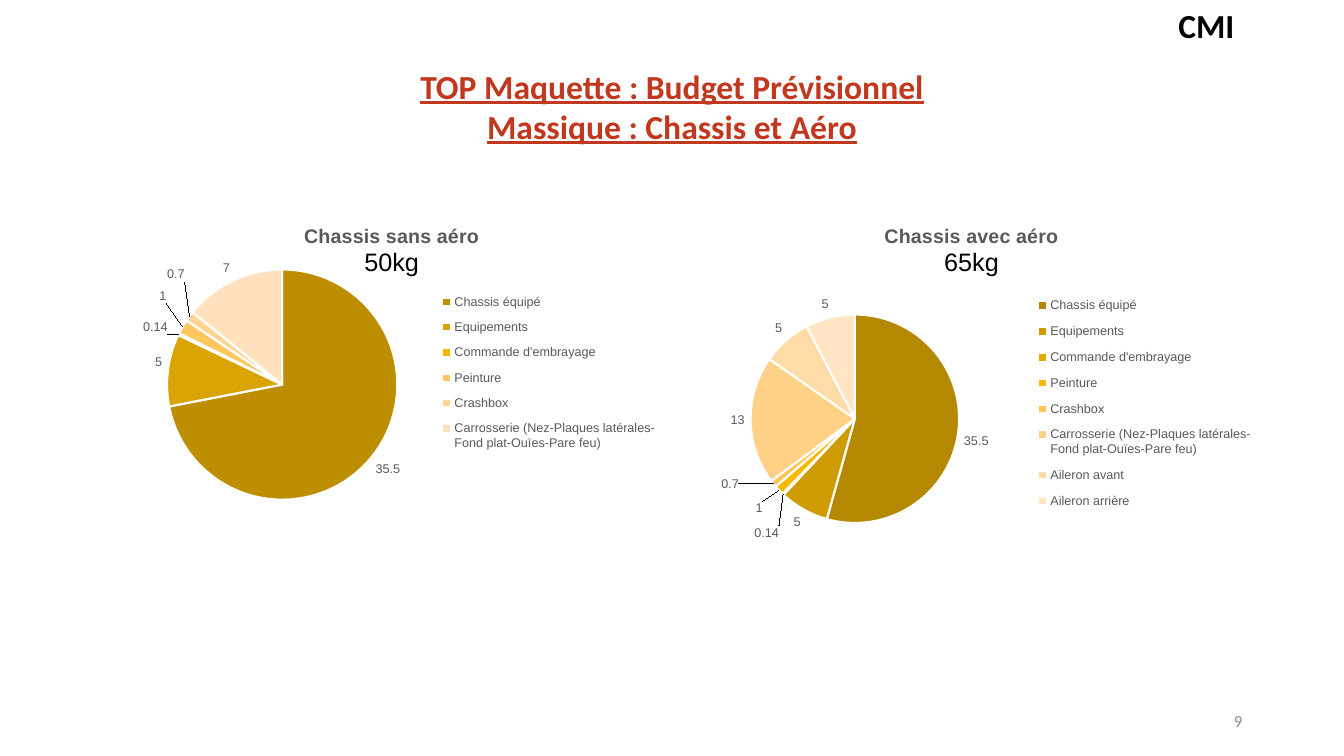
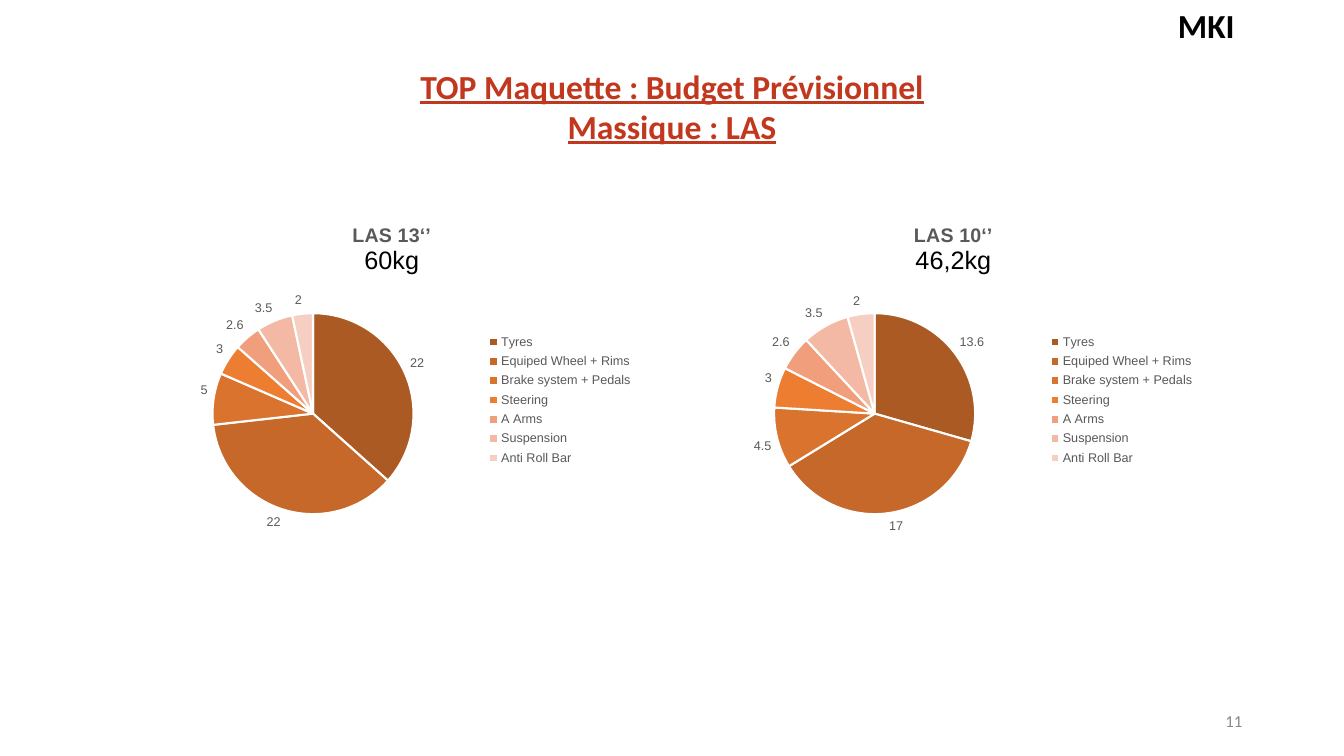
from lxml import etree
from pptx import Presentation
from pptx.chart.data import CategoryChartData
from pptx.dml.color import RGBColor
from pptx.enum.chart import XL_CHART_TYPE, XL_LABEL_POSITION, XL_LEGEND_POSITION
from pptx.enum.text import MSO_ANCHOR, MSO_AUTO_SIZE, PP_ALIGN
from pptx.oxml.ns import qn
from pptx.util import Inches, Pt

PIE = XL_CHART_TYPE.PIE
OUTSIDE = XL_LABEL_POSITION.OUTSIDE_END
RIGHT_SIDE = XL_LEGEND_POSITION.RIGHT
TOP, MIDDLE = MSO_ANCHOR.TOP, MSO_ANCHOR.MIDDLE
CENTER, RIGHT = PP_ALIGN.CENTER, PP_ALIGN.RIGHT

TITLE = {"name": "Calibri", "size": Pt(24), "bold": True, "underline": True, "color": "C2381E"}
TAG = {"name": "Calibri", "size": Pt(24), "bold": True, "color": "000000"}
NUMBER = {"name": "Calibri", "size": Pt(12), "color": "888888"}
CHART_TEXT = {"name": "Arial", "size": Pt(10), "color": "000000"}
CHART_TITLE = {"name": "Arial", "size": Pt(14), "bold": True, "color": "595959"}
CHART_TOTAL = {"name": "Arial", "size": Pt(18), "bold": False, "color": "000000"}
SMALL = {"name": "Arial", "size": Pt(9), "bold": False, "color": "595959"}

BODYWORK = "Carrosserie (Nez-Plaques latérales-Fond plat-Ouïes-Pare feu)"
CHASSIS = ["Chassis équipé", "Equipements", "Commande d'embrayage", "Peinture", "Crashbox", BODYWORK]
LAS = ["Tyres", "Equiped Wheel + Rims", "Brake system + Pedals", "Steering",
       "A Arms", "Suspension", "Anti Roll Bar"]
GOLDS_6 = ["BD8E00", "DAA400", "F4B700", "FFC75E", "FFD597", "FFE2BD"]
GOLDS_8 = ["B48800", "CE9B00", "E2AA00", "F6B900", "FFC550", "FFD187", "FFDBA7", "FFE5C3"]
ORANGES = ["AB5A23", "C56829", "D9732D", "ED7D31", "F09E7B", "F3B9A4", "F7CEC2"]
LAS_LEGEND = (0.66, 0.36, 0.28, 0.41)

slides = [
    {"tag": "CMI", "number": "9", "subject": "Massique : Chassis et Aéro", "top": 2.07, "height": 3.39,
     "charts": [
         {"left": 1.1, "width": 5.57, "title": "Chassis sans aéro", "total": "50kg",
          "names": CHASSIS, "values": [35.5, 5, 0.14, 1, 0.7, 7], "colors": GOLDS_6,
          "plot": (0.1, 0.13, 0.41, 0.77), "legend": (0.58, 0.22, 0.4, 0.52),
          "shifts": {2: (-0.01, 0.01), 3: (-0.02, -0.06), 4: (0, -0.09)}},
         {"left": 6.67, "width": 5.93, "title": "Chassis avec aéro", "total": "65kg",
          "names": CHASSIS + ["Aileron avant", "Aileron arrière"],
          "values": [35.5, 5, 0.14, 1, 0.7, 13, 5, 5], "colors": GOLDS_8,
          "plot": (0.13, 0.31, 0.35, 0.61), "legend": (0.6, 0.23, 0.38, 0.68),
          "shifts": {2: (0, 0.08), 3: (-0.02, 0.02), 4: (-0.05, -0.03)}},
     ]},
    {"tag": "MKI", "number": "11", "subject": "Massique : LAS", "top": 2.06, "height": 3.38,
     "charts": [
         {"left": 1.1, "width": 5.57, "title": "LAS 13‘’", "total": "60kg",
          "names": LAS, "values": [22, 22, 5, 3, 2.6, 3.5, 2], "colors": ORANGES,
          "plot": (0.18, 0.31, 0.36, 0.59), "legend": LAS_LEGEND, "shifts": {}},
         {"left": 6.67, "width": 5.57, "title": "LAS 10‘’", "total": "46,2kg",
          "names": LAS, "values": [13.6, 17, 4.5, 3, 2.6, 3.5, 2], "colors": ORANGES,
          "plot": (0.18, 0.31, 0.36, 0.59), "legend": LAS_LEGEND, "shifts": {}},
     ]},
]


def style(font, look):
    for key, value in look.items():
        if key == "color":
            font.color.rgb = RGBColor.from_string(value)
        else:
            setattr(font, key, value)


def set_layout(parent, index, settings):
    for old in parent.findall(qn("c:layout")):
        parent.remove(old)
    layout = etree.Element(qn("c:layout"))
    manual = etree.SubElement(layout, qn("c:manualLayout"))
    for name, value in settings.items():
        etree.SubElement(manual, qn("c:" + name)).set("val", str(value))
    parent.insert(index, layout)


deck = Presentation()
deck.slide_width, deck.slide_height = Inches(13.33), Inches(7.5)

for content in slides:
    page = deck.slides.add_slide(deck.slide_layouts[5])
    corner = page.shapes.add_textbox(Inches(11.51), 0, Inches(0.91), Inches(0.5))
    footer = page.shapes.add_textbox(Inches(9.42), Inches(6.95), Inches(3), Inches(0.4))
    heading = page.shapes.title
    heading.left, heading.top = 0, Inches(0.6)
    heading.width, heading.height = deck.slide_width, Inches(0.91)

    for box, lines, look, align, anchor in [
        (heading, ["TOP Maquette : Budget Prévisionnel", content["subject"]], TITLE, CENTER, TOP),
        (corner, [content["tag"]], TAG, CENTER, TOP),
        (footer, [content["number"]], NUMBER, RIGHT, MIDDLE),
    ]:
        frame = box.text_frame
        frame.text = "\n".join(lines)
        frame.word_wrap = True
        frame.auto_size = MSO_AUTO_SIZE.NONE
        frame.vertical_anchor = anchor
        for para in frame.paragraphs:
            para.alignment = align
            style(para.runs[0].font, look)

    for item in content["charts"]:
        data = CategoryChartData()
        data.categories = item["names"]
        data.add_series("Series 1", item["values"])
        chart = page.shapes.add_chart(
            PIE, Inches(item["left"]), Inches(content["top"]),
            Inches(item["width"]), Inches(content["height"]), data).chart
        style(chart.font, CHART_TEXT)

        chart.has_title = True
        frame = chart.chart_title.text_frame
        frame.text = item["title"] + "\n" + item["total"]
        for para, look in zip(frame.paragraphs, [CHART_TITLE, CHART_TOTAL]):
            style(para.runs[0].font, look)

        chart.has_legend = True
        chart.legend.position = RIGHT_SIDE
        chart.legend.include_in_layout = False
        style(chart.legend.font, SMALL)

        plot = chart.plots[0]
        plot.vary_by_categories = True
        series = plot.series[0]
        labels = series.data_labels
        labels.show_value = True
        labels.position = OUTSIDE
        style(labels.font, SMALL)
        for index, color in enumerate(item["colors"]):
            slice_format = series.points[index].format
            slice_format.fill.solid()
            slice_format.fill.fore_color.rgb = RGBColor.from_string(color)
            slice_format.line.color.rgb = RGBColor.from_string("FFFFFF")
            slice_format.line.width = Pt(1.5)

        for index in item["shifts"]:
            label = series.points[index].data_label
            label.position = OUTSIDE
            style(label.font, SMALL)
        for element, shift in zip(chart.element.iter(qn("c:dLbl")), item["shifts"].values()):
            set_layout(element, 1, dict(zip("xy", shift)))

        edges = {"xMode": "edge", "yMode": "edge"}
        area = chart.element.find(".//" + qn("c:plotArea"))
        set_layout(area, 0, {"layoutTarget": "inner", **edges, **dict(zip("xywh", item["plot"]))})
        legend = chart.element.find(".//" + qn("c:legend"))
        set_layout(legend, 1, {**edges, **dict(zip("xywh", item["legend"]))})

deck.save("out.pptx")
